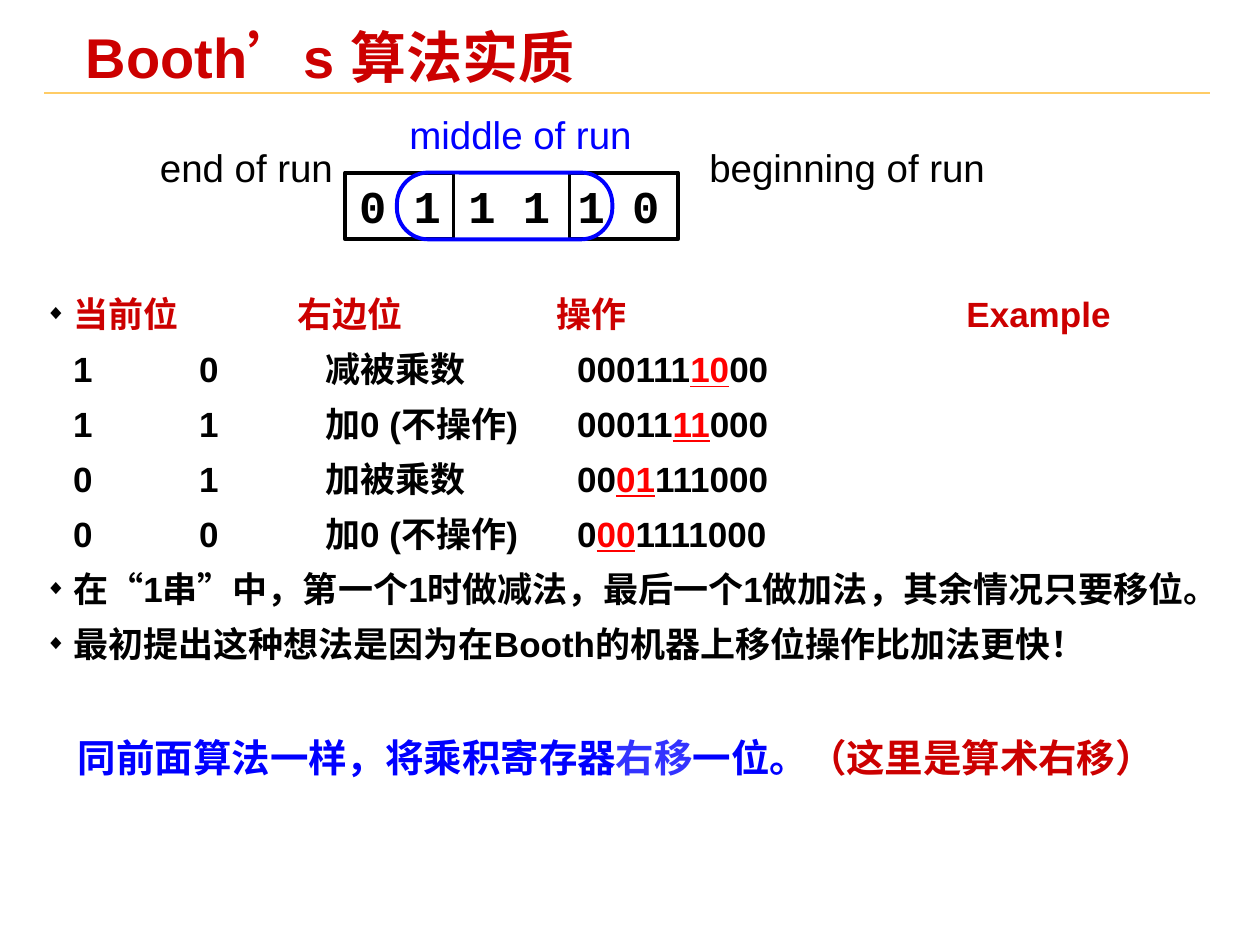
from lxml.etree import SubElement
from pptx import Presentation
from pptx.dml.color import RGBColor
from pptx.enum.shapes import MSO_CONNECTOR, MSO_SHAPE
from pptx.enum.text import MSO_ANCHOR, MSO_AUTO_SIZE, PP_ALIGN
from pptx.oxml.ns import qn
from pptx.util import Inches, Pt

THEME = {
    "font": "Arial", "mono": "Courier New", "chinese": "Noto Sans CJK SC",
    "black": "000000", "red": "CC0000", "mark": "FF0000",
    "blue": "0000FF", "soft blue": "3333FF", "gold": "FFCC66",
    "title": 32, "digits": 26, "label": 22, "body": 20,
}

deck = Presentation()
deck.slide_width, deck.slide_height = Inches(10), Inches(7.5)
CELL = deck.slide_width // 100  # grid of 100 columns by 75 rows
page = deck.slides.add_slide(deck.slide_layouts[1])


def set_frame(box, place, margins=(0, 0), wrap=True):
    """Put a text holder on the grid and return its text frame."""
    box.left, box.top, box.width, box.height = (int(n * CELL) for n in place)
    frame = box.text_frame
    frame.auto_size = MSO_AUTO_SIZE.NONE
    frame.word_wrap = wrap
    frame.vertical_anchor = MSO_ANCHOR.TOP
    frame.margin_left = frame.margin_right = int(margins[0] * CELL)
    frame.margin_top = frame.margin_bottom = int(margins[1] * CELL)
    frame.paragraphs[0].alignment = PP_ALIGN.LEFT
    return frame


def add_span(para, text, size, color, bold=True, font="font", underline=None):
    """Add one formatted run."""
    span = para.add_run()
    span.text = text
    span.font.name = THEME[font]
    span.font.size = Pt(THEME[size])
    span.font.bold = bold
    span.font.underline = underline
    span.font.color.rgb = RGBColor.from_string(THEME[color])
    SubElement(span.font._element, qn("a:ea"), typeface=THEME["chinese"])


# Rule under the title
rule = page.shapes.add_connector(
    MSO_CONNECTOR.STRAIGHT, *(int(n * CELL) for n in (3.5, 7.4, 96, 7.4)))
rule.line.color.rgb = RGBColor.from_string(THEME["gold"])
rule.line.width = Pt(1)
SubElement(rule._element.spPr, qn("a:effectLst"))

# Title
title = set_frame(page.shapes.title, (6.1, 2.2, 49.4, 5.2), (0.7, 0.3))
title.paragraphs[0].line_spacing = 0.87
add_span(title.paragraphs[0], "Booth’s 算法实质", "title", "red")

# Body: heading row, cases with the inspected bit pair marked, two remarks
HEADING = "当前位\t右边位\t操作\tExample"
CASES = [
    ("\t1\t0\t减被乘数\t000111", "10", "00"),
    ("\t1\t1\t加0 (不操作)\t00011", "11", "000"),
    ("\t0\t1\t加被乘数\t00", "01", "111000"),
    ("\t0\t0\t加0 (不操作) \t0", "00", "1111000"),
]
REMARKS = [
    "在“1串”中，第一个1时做减法，最后一个1做加法，其余情况只要移位。",
    "最初提出这种想法是因为在Booth的机器上移位操作比加法更快！",
]
TABS = [20, 40.6, 73.1, 80, 90, 100, 110]
lines = [[(HEADING, "red", None)]]
lines += [[(lead, "black", None), (pair, "mark", True), (rest, "black", None)]
          for lead, pair, rest in CASES]
lines += [[(remark, "black", None)] for remark in REMARKS]

body = set_frame(page.placeholders[1], (2.9, 22.6, 95.3, 38.4), (0.7, 0.3))
for number, spans in enumerate(lines):
    para = body.paragraphs[0] if number == 0 else body.add_paragraph()
    para.alignment = PP_ALIGN.LEFT
    para.line_spacing = 1.1
    para.space_before = Pt(5)
    props = para._p.get_or_add_pPr()
    props.set("marL", str(int(2.2 * CELL)))
    props.set("indent", str(int(-2.2 * CELL)))
    props.set("defTabSz", str(10 * CELL))
    bulleted = len(spans) == 1
    if bulleted:
        color = SubElement(props, qn("a:buClr"))
        SubElement(color, qn("a:srgbClr"), val=THEME["black"])
        SubElement(props, qn("a:buSzPct"), val="60000")
        SubElement(props, qn("a:buFont"), typeface=THEME["font"])
        SubElement(props, qn("a:buChar"), char="◆")
    else:
        SubElement(props, qn("a:buNone"))
    stops = SubElement(props, qn("a:tabLst"))
    for stop in TABS if bulleted else [0] + TABS:
        SubElement(stops, qn("a:tab"), pos=str(int(stop * CELL)), algn="l")
    for text, color, underline in spans:
        add_span(para, text, "body", color, underline=underline)

# Closing note
note = set_frame(page.shapes.add_textbox(0, 0, 0, 0),
                 (5.2, 57.8, 87.4, 4.7), (1, 0.5), wrap=False)
for text, color in [("同前面算法一样，将乘积寄存器", "blue"), ("右移", "soft blue"),
                    ("一位。", "blue"), ("（这里是算术右移）", "red")]:
    add_span(note.paragraphs[0], text, "label", color)

# Run diagram: digits, labels, and frames around the end, start and middle
diagram = page.shapes.add_group_shape()
digits = set_frame(diagram.shapes.add_textbox(0, 0, 0, 0),
                   (28.5, 14.1, 23.9, 4.3), wrap=False)
add_span(digits.paragraphs[0], "0 1 1 1 1 0", "digits", "black", font="mono")

for text, color, left, top, width in [
        ("beginning of run", "black", 56.3, 11.4, 21.9),
        ("end of run", "black", 12.7, 11.4, 13.7),
        ("middle of run", "blue", 32.5, 8.8, 17.6)]:
    label = set_frame(diagram.shapes.add_textbox(0, 0, 0, 0),
                      (left, top, width, 3.7), wrap=False)
    add_span(label.paragraphs[0], text, "label", color, bold=False)

for kind, color, left, width in [
        (MSO_SHAPE.RECTANGLE, "black", 45.2, 8.6),
        (MSO_SHAPE.RECTANGLE, "black", 27.4, 8.6),
        (MSO_SHAPE.ROUNDED_RECTANGLE, "blue", 31.5, 17.1)]:
    outline = diagram.shapes.add_shape(
        kind, *(int(n * CELL) for n in (left, 13.7, width, 5.3)))
    outline.shadow.inherit = False
    outline.fill.background()
    outline.line.color.rgb = RGBColor.from_string(THEME[color])
    outline.line.width = Pt(2.25)
    if kind == MSO_SHAPE.ROUNDED_RECTANGLE:
        outline.adjustments[0] = 0.47

deck.save("out.pptx")
